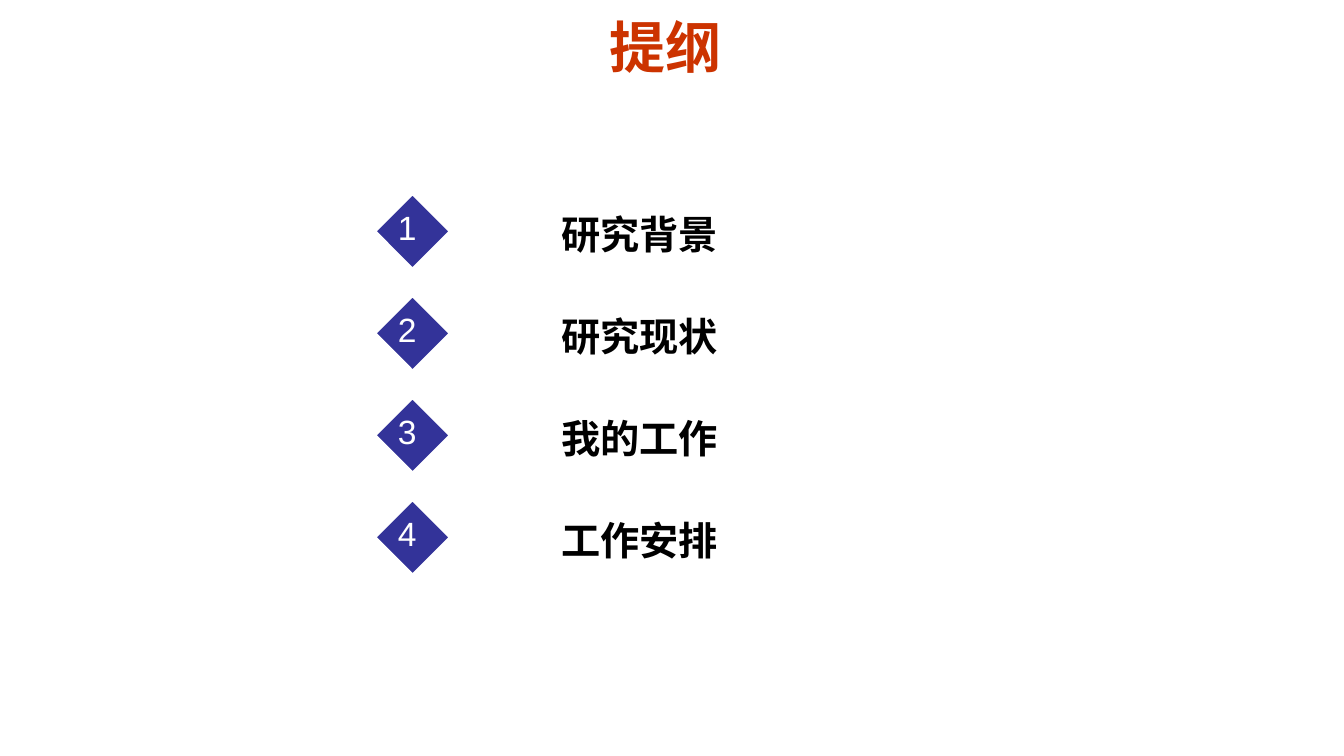
from dataclasses import dataclass

import pptx
import pptx.dml.color
import pptx.enum.shapes
import pptx.enum.text
import pptx.shapes.autoshape
import pptx.shapes.group
import pptx.text.text
import pptx.util

Cm = pptx.util.Cm
Pt = pptx.util.Pt
SHAPE = pptx.enum.shapes.MSO_SHAPE
ANCHOR = pptx.enum.text.MSO_ANCHOR
AUTO_SIZE = pptx.enum.text.MSO_AUTO_SIZE

WHITE = "FFFFFF"
BLACK = "000000"
INDIGO = "333399"
RED = "CC3300"

ROW_PITCH = 2.57
TOPICS = ["研究背景", "研究现状", "我的工作", "工作安排"]


@dataclass(frozen=True)
class Box:
    left: float
    top: float
    width: float
    height: float

    def lowered(self, distance: float) -> "Box":
        return Box(self.left, self.top + distance, self.width, self.height)

    def lengths(self) -> tuple[int, int, int, int]:
        return Cm(self.left), Cm(self.top), Cm(self.width), Cm(self.height)


@dataclass(frozen=True)
class TextStyle:
    font: str
    size: float
    color: str
    bold: bool


TITLE_BOX = Box(8.1, 0, 17.35, 2.34)
BAR_BOX = Box(10.39, 5.05, 12.07, 1.52)
DIAMOND_BOX = Box(9.45, 4.88, 1.9, 1.9)
TOPIC_BOX = Box(11.35, 5.18, 9.53, 1.45)
NUMBER_BOX = Box(9.78, 5.08, 0.97, 1.27)

TITLE_STYLE = TextStyle("Times New Roman", 40, RED, True)
TOPIC_STYLE = TextStyle("Arial", 28, BLACK, True)
NUMBER_STYLE = TextStyle("Arial", 24, WHITE, False)


def rgb(color: str) -> pptx.dml.color.RGBColor:
    return pptx.dml.color.RGBColor.from_string(color)


def write_text(text_frame: pptx.text.text.TextFrame, text: str, style: TextStyle) -> None:
    text_frame.text = text
    paragraph = text_frame.paragraphs[0]
    paragraph.alignment = pptx.enum.text.PP_ALIGN.CENTER
    paragraph.font.name = style.font
    paragraph.font.size = Pt(style.size)
    paragraph.font.bold = style.bold
    paragraph.font.color.rgb = rgb(style.color)


def add_outlined_shape(
    group: pptx.shapes.group.GroupShape, kind: SHAPE, box: Box, fill: str, line_width: float
) -> pptx.shapes.autoshape.Shape:
    shape = group.shapes.add_shape(kind, *box.lengths())
    shape.shadow.inherit = False
    shape.fill.solid()
    shape.fill.fore_color.rgb = rgb(fill)
    shape.line.color.rgb = rgb(WHITE)
    shape.line.width = Pt(line_width)
    return shape


def add_label(
    group: pptx.shapes.group.GroupShape, box: Box, text: str, style: TextStyle, wrap: bool
) -> None:
    text_frame = group.shapes.add_textbox(*box.lengths()).text_frame
    text_frame.word_wrap = wrap
    text_frame.auto_size = AUTO_SIZE.SHAPE_TO_FIT_TEXT
    write_text(text_frame, text, style)


def add_topic(slide: pptx.slide.Slide, index: int, topic: str) -> None:
    group = slide.shapes.add_group_shape()
    drop = index * ROW_PITCH
    add_outlined_shape(group, SHAPE.ROUNDED_RECTANGLE, BAR_BOX.lowered(drop), WHITE, 1)
    add_outlined_shape(group, SHAPE.DIAMOND, DIAMOND_BOX.lowered(drop), INDIGO, 2)
    add_label(group, TOPIC_BOX.lowered(drop), topic, TOPIC_STYLE, True)
    add_label(group, NUMBER_BOX.lowered(drop), str(index + 1), NUMBER_STYLE, False)


def add_title(slide: pptx.slide.Slide, text: str) -> None:
    title = slide.shapes.title
    title.left, title.top, title.width, title.height = TITLE_BOX.lengths()
    title.text_frame.auto_size = AUTO_SIZE.NONE
    title.text_frame.vertical_anchor = ANCHOR.MIDDLE
    write_text(title.text_frame, text, TITLE_STYLE)


def main() -> None:
    presentation = pptx.Presentation()
    presentation.slide_width = Cm(33.88)
    presentation.slide_height = Cm(19.05)
    title_only = presentation.slide_layouts.get_by_name("Title Only")
    slide = presentation.slides.add_slide(title_only)
    add_title(slide, "提纲")
    for index, topic in enumerate(TOPICS):
        add_topic(slide, index, topic)
    presentation.save("out.pptx")


if __name__ == "__main__":
    main()
